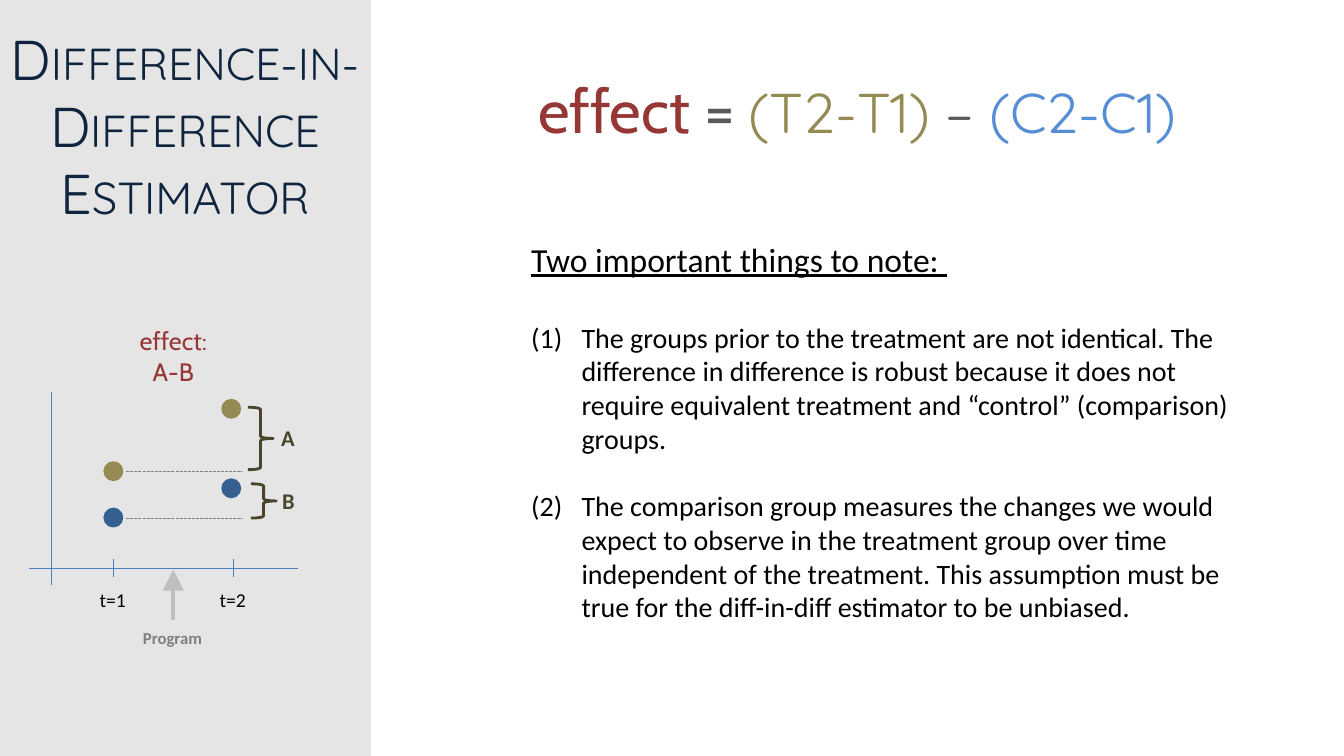
from lxml import etree
from pptx import Presentation
from pptx.dml.color import RGBColor
from pptx.enum import dml, shapes, text
from pptx.oxml import ns
from pptx.util import Pt

PANEL = RGBColor(0xE5, 0xE5, 0xE5)
NAVY = RGBColor(0x0F, 0x24, 0x3E)
RED = RGBColor(0x95, 0x37, 0x35)
SLATE = RGBColor(0x59, 0x59, 0x59)
OLIVE = RGBColor(0x94, 0x8A, 0x54)
SKY = RGBColor(0x55, 0x8E, 0xD5)
AXIS = RGBColor(0x4B, 0x7E, 0xBC)
BLUE = RGBColor(0x37, 0x60, 0x92)
BROWN = RGBColor(0x4A, 0x45, 0x2A)
SILVER = RGBColor(0xBF, 0xBF, 0xBF)
GREY = RGBColor(0x80, 0x80, 0x80)
BLACK = RGBColor(0, 0, 0)

LEFT, CENTER = text.PP_ALIGN.LEFT, text.PP_ALIGN.CENTER


def add_span(para, words, size, face, color, bold=False):
    span = para.add_run()
    span.text = words
    span.font.size = Pt(size)
    span.font.name = face
    span.font.color.rgb = color
    span.font.bold = bold
    return span


def add_line(x1, y1, x2, y2, color, width):
    line = page.shapes.add_connector(
        shapes.MSO_CONNECTOR.STRAIGHT, Pt(x1), Pt(y1), Pt(x2), Pt(y2))
    line.line.color.rgb = color
    line.line.width = Pt(width)
    etree.SubElement(line.element.spPr, ns.qn("a:effectLst"))
    return line


deck = Presentation()
deck.slide_width, deck.slide_height = Pt(960), Pt(540)
page = deck.slides.add_slide(deck.slide_layouts[1])
title, body = page.shapes.title, page.placeholders[1]

panel = page.shapes.add_shape(
    shapes.MSO_SHAPE.RECTANGLE, Pt(0), Pt(0), Pt(265), Pt(540))
panel.shadow.inherit = False
panel.fill.solid()
panel.fill.fore_color.rgb = PANEL
panel.line.fill.background()
title.element.addprevious(panel.element)

for holder, place in ((title, (-39.6, 13.7, 343.4, 152.6)),
                      (body, (372.2, 167, 512.6, 283.7))):
    holder.left, holder.top, holder.width, holder.height = map(Pt, place)
    holder.text_frame.word_wrap = True
    holder.text_frame.auto_size = text.MSO_AUTO_SIZE.NONE
    holder.text_frame.vertical_anchor = text.MSO_ANCHOR.TOP

heading = title.text_frame.paragraphs[0]
heading.alignment = CENTER
span = add_span(heading, "Difference-in-Difference Estimator", 40, "Quicksand", NAVY)
span.font.element.set("cap", "small") if hasattr(span.font, "element") else \
    span._r.get_or_add_rPr().set("cap", "small")

notes = [
    ("Two important things to note: ", 24, 0),
    ("The groups prior to the treatment are not identical. The difference in "
     "difference is robust because it does not require equivalent treatment and "
     "“control” (comparison) groups.", 20, 29.3),
    ("The comparison group measures the changes we would expect to observe in the "
     "treatment group over time independent of the treatment. This assumption must "
     "be true for the diff-in-diff estimator to be unbiased.", 20, 24.4),
]
for index, (words, size, gap) in enumerate(notes):
    para = body.text_frame.paragraphs[0] if index == 0 else body.text_frame.add_paragraph()
    properties = para._p.get_or_add_pPr()
    indent = Pt(36) if index else 0
    properties.set("marL", str(indent))
    properties.set("indent", str(-indent))
    if index:
        bullet = etree.SubElement(properties, ns.qn("a:buAutoNum"))
        bullet.set("type", "arabicParenBoth")
    else:
        etree.SubElement(properties, ns.qn("a:buNone"))
    para.space_before = Pt(gap)
    span = add_span(para, words, size, "Calibri", BLACK)
    span.font.underline = index == 0

add_line(36.7, 280, 36.7, 417.6, AXIS, 0.75)
add_line(20.9, 406.1, 213.1, 406.1, AXIS, 0.75)
for x in (81.4, 167):
    add_line(x, 399.6, x, 411.8, AXIS, 0.75)
for y in (337, 370.1):
    guide = add_line(90, y, 172.8, y, GREY, 0.75)
    guide.line.dash_style = dml.MSO_LINE.SQUARE_DOT

arrow = add_line(123.8, 442.8, 123.8, 406.8, SILVER, 3)
head = etree.SubElement(arrow.line._get_or_add_ln(), ns.qn("a:tailEnd"))
for key, value in (("type", "triangle"), ("w", "lg"), ("len", "lg")):
    head.set(key, value)

diameter = 12.2
for x, y, color in ((81, 369.7, BLUE), (165.2, 348.8, BLUE),
                    (81, 336.6, OLIVE), (165.2, 292, OLIVE)):
    dot = page.shapes.add_shape(
        shapes.MSO_SHAPE.OVAL, Pt(x - diameter / 2), Pt(y - diameter / 2),
        Pt(diameter), Pt(diameter))
    dot.shadow.inherit = False
    dot.fill.solid()
    dot.fill.fore_color.rgb = color
    dot.line.color.rgb = color
    dot.line.width = Pt(2)

for x, y, height in ((177.1, 290.9, 44.6), (179.3, 345.6, 24.5)):
    brace = page.shapes.add_shape(
        shapes.MSO_SHAPE.RIGHT_BRACE, Pt(x), Pt(y), Pt(18), Pt(height))
    brace.shadow.inherit = False
    brace.fill.background()
    brace.line.color.rgb = BROWN
    brace.line.width = Pt(2)

formula = [("effect", 44, "Cabin", RED), (" = ", 44, "Cabin", SLATE),
           ("(T2-T1) ", 40, "Quicksand", OLIVE), ("– ", 40, "Quicksand", SLATE),
           ("(C2-C1)", 40, "Quicksand", SKY)]
labels = [
    ((369.4, 48.2, 486, 60.5), CENTER, [formula]),
    ((91.4, 229, 64.8, 51.1), CENTER,
     [[("effect:", 18, "Cabin", RED)], [("A-B", 18, "Cabin", RED)]]),
    ((64.1, 416.2, 33.8, 24.5), LEFT, [[("t=1", 14, "Calibri", BLACK)]]),
    ((149.8, 416.2, 33.8, 24.5), LEFT, [[("t=2", 14, "Calibri", BLACK)]]),
    ((95, 445, 57.6, 21.6), LEFT, [[("Program", 12, "Calibri", GREY, True)]]),
    ((193.7, 299.5, 24.5, 26.6), LEFT, [[("A", 16, "Calibri", BROWN, True)]]),
    ((194.4, 344.2, 23.8, 26.6), LEFT, [[("B", 16, "Calibri", BROWN, True)]]),
]
for place, alignment, rows in labels:
    box = page.shapes.add_textbox(*map(Pt, place))
    box.text_frame.word_wrap = False
    for index, row in enumerate(rows):
        para = box.text_frame.add_paragraph() if index else box.text_frame.paragraphs[0]
        para.alignment = alignment
        for piece in row:
            add_span(para, *piece)

deck.save("out.pptx")
